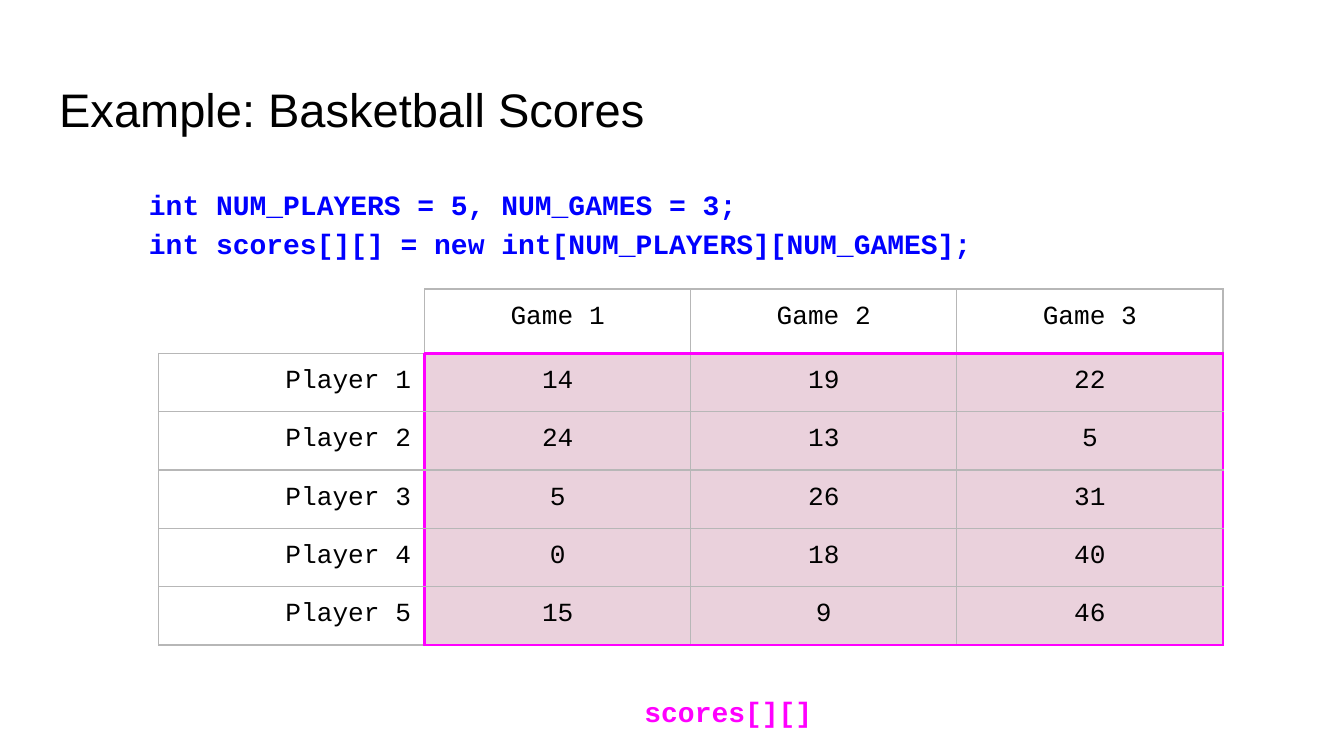
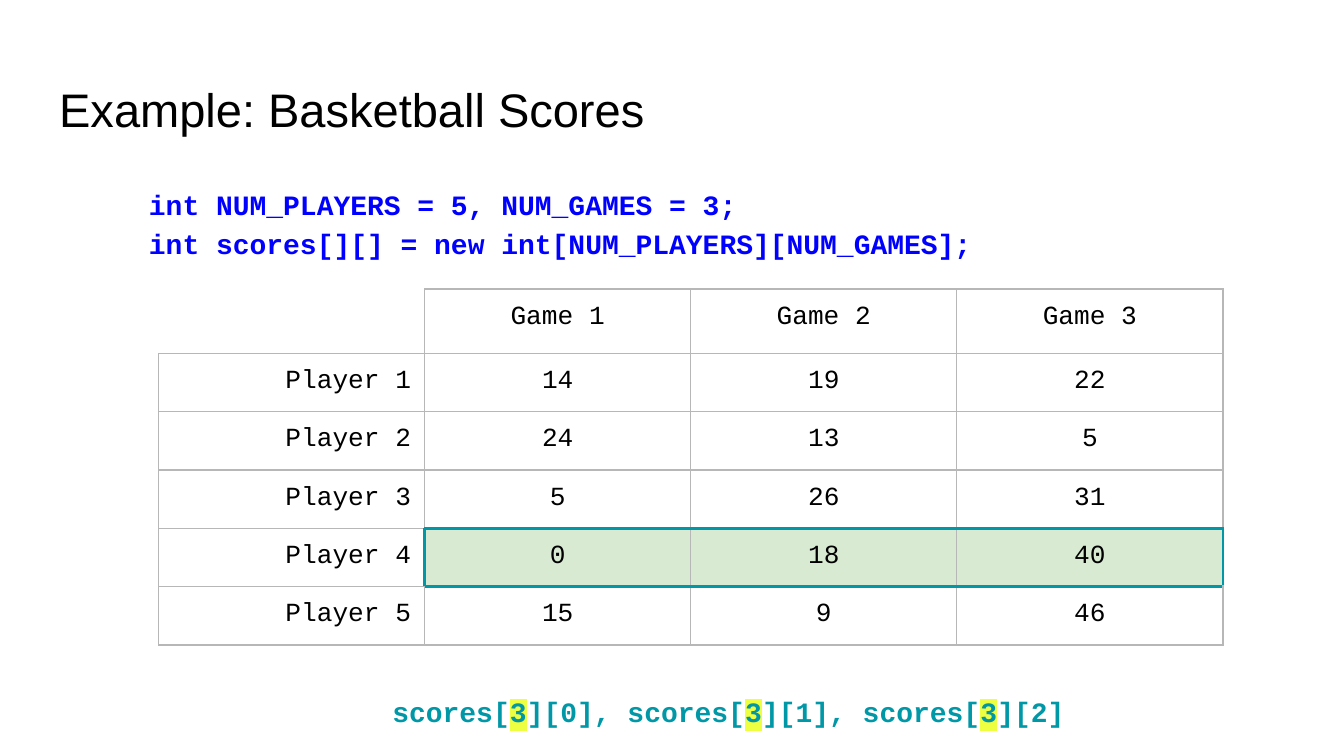
from collections import namedtuple

from lxml.etree import SubElement
from pptx import Presentation
from pptx.dml.color import RGBColor
from pptx.enum.text import MSO_ANCHOR, MSO_AUTO_SIZE, PP_ALIGN
from pptx.oxml.ns import qn
from pptx.util import Inches, Pt

UNIT = Inches(0.1)
SLIDE_COLUMNS, SLIDE_ROWS = 100, 56.25

BLACK = RGBColor(0x00, 0x00, 0x00)
WHITE = RGBColor(0xFF, 0xFF, 0xFF)
GRAY = RGBColor(0xB7, 0xB7, 0xB7)
BLUE = RGBColor(0x00, 0x00, 0xFF)
MAGENTA = RGBColor(0xFF, 0x00, 0xFF)
PINK = RGBColor(0xEA, 0xD1, 0xDC)
TEAL = RGBColor(0x00, 0x97, 0xA7)
GREEN = RGBColor(0xD9, 0xEA, 0xD3)
YELLOW = RGBColor(0xEE, 0xFF, 0x41)

SANS, MONO = "Arial", "Courier New"
PADDING = UNIT

Box = namedtuple("Box", "left top width height")
Area = namedtuple("Area", "cells accent fill")

TITLE_BOX = Box(3.4, 4.9, 93.2, 6.3)
CODE_BOX = Box(5.1, 12.6, 93.2, 42.4)
TABLE_BOX = Box(11.8, 21.5, 79.2, 25.8)
HEADER_ROWS = 4.8

CODE_LINES = (
    "int NUM_PLAYERS = 5, NUM_GAMES = 3;",
    "int scores[][] = new int[NUM_PLAYERS][NUM_GAMES];",
)
SCORES = ((14, 19, 22), (24, 13, 5), (5, 26, 31), (0, 18, 40), (15, 9, 46))
GAMES = range(1, 4)
PLAYERS = range(1, 6)
SIDES = {"lnL": (0, -1), "lnR": (0, 1), "lnT": (-1, 0), "lnB": (1, 0)}


def in_units(box):
    """Turn a box of grid columns and rows into slide lengths."""
    return [round(length * UNIT) for length in box]


def pad(frame):
    """Give a text frame or cell the shared inner margin."""
    frame.margin_left = frame.margin_right = PADDING
    frame.margin_top = frame.margin_bottom = PADDING


def add_span(para, text, size, color, font=MONO, bold=False, highlight=None):
    """Add one formatted run to a paragraph."""
    span = para.add_run()
    span.text = text
    span.font.size = Pt(size)
    span.font.bold = bold
    span.font.name = font
    span.font.color.rgb = color
    if highlight:
        properties = span.font._element
        marker = SubElement(properties, qn("a:highlight"))
        SubElement(marker, qn("a:srgbClr")).set("val", str(highlight))
        properties.find(qn("a:solidFill")).addnext(marker)


def add_title(page, box, text):
    """Place and format the title placeholder."""
    title = page.shapes.title
    title.left, title.top, title.width, title.height = in_units(box)
    frame = title.text_frame
    pad(frame)
    frame.word_wrap = True
    frame.auto_size = MSO_AUTO_SIZE.NONE
    frame.vertical_anchor = MSO_ANCHOR.BOTTOM
    para = frame.paragraphs[0]
    para.alignment = PP_ALIGN.LEFT
    add_span(para, text, 25.2, BLACK, SANS)


def add_code(page, box, label, accent):
    """Write the declarations above the table and the label below it."""
    frame = page.shapes.add_textbox(*in_units(box)).text_frame
    pad(frame)
    frame.word_wrap = True
    code, caption = frame.paragraphs[0], frame.add_paragraph()
    for para in (code, caption):
        para.line_spacing = 1.15
        para._p.get_or_add_pPr().set("marL", str(5 * UNIT))
    for number, line in enumerate(CODE_LINES):
        if number:
            code.add_line_break()
        add_span(code, line, 15, BLUE, bold=True)
    caption.alignment = PP_ALIGN.CENTER
    caption.space_before = Pt(230)
    for text, highlight in label:
        add_span(caption, text, 15, accent, bold=True, highlight=highlight)


def add_border(cell, side, color, width):
    """Draw one side of a table cell."""
    line = SubElement(cell._tc.get_or_add_tcPr(), qn(f"a:{side}"))
    line.set("w", str(Pt(width)))
    fill = SubElement(line, qn("a:solidFill"))
    SubElement(fill, qn("a:srgbClr")).set("val", str(color))


def format_cell(cell, place, area):
    """Set the borders and fill of a cell, outlining the marked area."""
    inside = place in area.cells
    for side, (down, across) in SIDES.items():
        neighbour = (place[0] + down, place[1] + across)
        if inside != (neighbour in area.cells):
            add_border(cell, side, area.accent, 1.5)
        elif place == (0, 0) and side in ("lnL", "lnT"):
            add_border(cell, side, WHITE, 0.75)
        else:
            add_border(cell, side, GRAY, 0.75)
    if inside:
        cell.fill.solid()
        cell.fill.fore_color.rgb = area.fill
    else:
        cell.fill.background()


def add_scores(page, box, area):
    """Build the table of scores with one marked area."""
    rows = [["", *(f"Game {game}" for game in GAMES)]]
    rows += [[f"Player {player}", *map(str, scores)]
             for player, scores in zip(PLAYERS, SCORES)]
    table = page.shapes.add_table(len(rows), len(rows[0]), *in_units(box)).table
    table.first_row = table.horz_banding = False
    for column in table.columns:
        column.width = round(box.width * UNIT / len(rows[0]))
    for number, row in enumerate(table.rows):
        share = (box.height - HEADER_ROWS) / len(PLAYERS) if number else HEADER_ROWS
        row.height = round(share * UNIT)
    for down, texts in enumerate(rows):
        for across, text in enumerate(texts):
            cell = table.cell(down, across)
            format_cell(cell, (down, across), area)
            if text:
                pad(cell)
                para = cell.text_frame.paragraphs[0]
                para.alignment = PP_ALIGN.CENTER if across else PP_ALIGN.RIGHT
                add_span(para, text, 14, BLACK)


def add_example(deck, label, area):
    """Add one slide of the basketball example."""
    page = deck.slides.add_slide(deck.slide_layouts[5])
    add_title(page, TITLE_BOX, "Example: Basketball Scores")
    add_code(page, CODE_BOX, label, area.accent)
    add_scores(page, TABLE_BOX, area)


def main():
    """Build and save the deck."""
    deck = Presentation()
    deck.slide_width = round(SLIDE_COLUMNS * UNIT)
    deck.slide_height = round(SLIDE_ROWS * UNIT)
    all_scores = {(player, game) for player in PLAYERS for game in GAMES}
    add_example(deck, [("scores[][]", None)], Area(all_scores, MAGENTA, PINK))
    fourth_player = {(4, game) for game in GAMES}
    row_label = [
        ("scores[", None), ("3", YELLOW), ("][0], scores[", None),
        ("3", YELLOW), ("][1], scores[", None), ("3", YELLOW), ("][2]", None),
    ]
    add_example(deck, row_label, Area(fourth_player, TEAL, GREEN))
    deck.save("out.pptx")


main()
